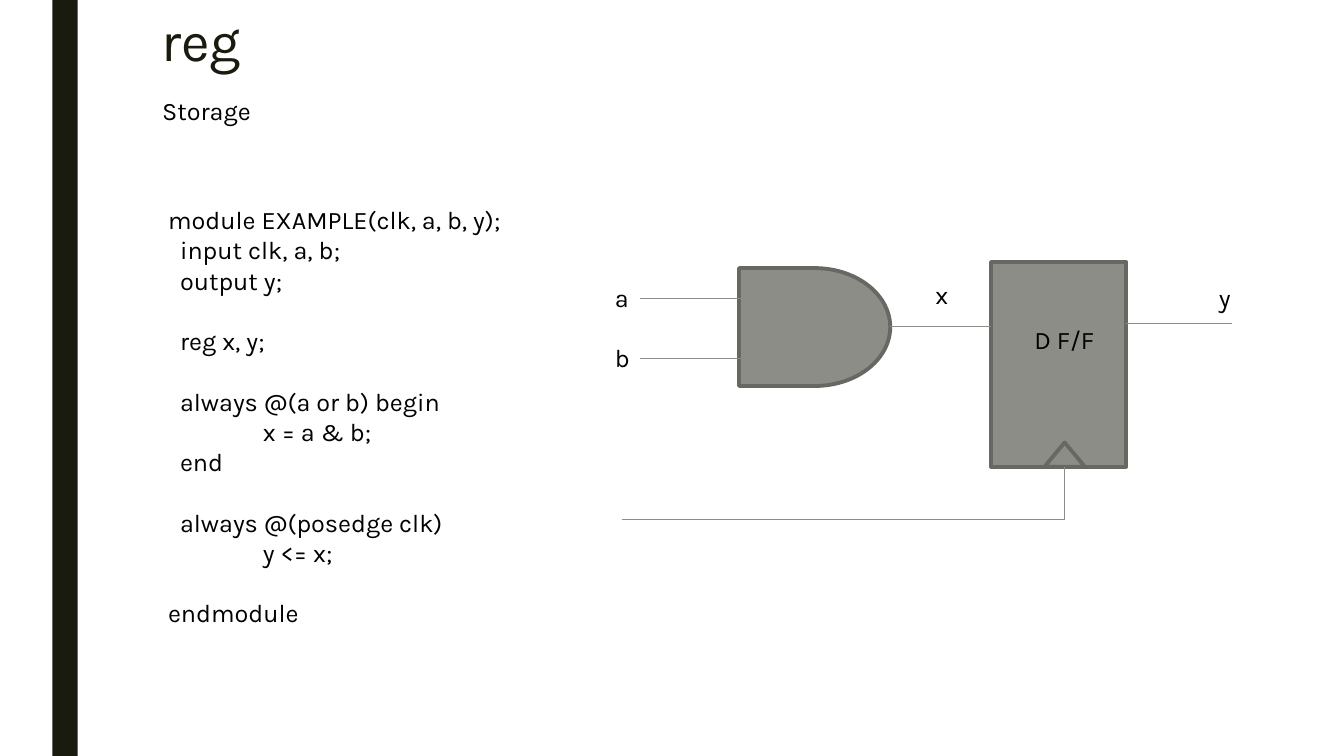
from pptx import Presentation
from pptx import util as u
from pptx.dml.color import RGBColor
from pptx.enum import shapes, text
from pptx.oxml.ns import qn
from lxml import etree

PX = 9144  # EMU in one px, 100 px to the inch
HUES = {"bar": "191B0E", "ink": "000000", "gate": "8C8D86", "edge": "686863"}
FORM = shapes.MSO_SHAPE
LINK = shapes.MSO_CONNECTOR
hue = {name: RGBColor.from_string(code) for name, code in HUES.items()}

deck = Presentation()
deck.slide_width, deck.slide_height = 1333 * PX, 750 * PX
slide = deck.slides.add_slide(deck.slide_layouts[5])


def place(box):
    return [n * PX for n in box]


def write(frame, lines, size=18, color="ink", **form):
    """Fill a text frame; an empty line becomes space before the next one."""
    form = {"vertical_anchor": text.MSO_ANCHOR.TOP, "word_wrap": False,
            "auto_size": text.MSO_AUTO_SIZE.SHAPE_TO_FIT_TEXT, **form}
    for key, val in form.items():
        setattr(frame, key, val)
    para, gap = frame.paragraphs[0], 0
    for num, line in enumerate(lines):
        if not line:
            gap = 21.6
            continue
        if num:
            para = frame.add_paragraph()
        para.alignment = text.PP_ALIGN.LEFT
        if gap:
            para.space_before = u.Pt(gap)
            gap = 0
        if line.startswith("\t"):
            tabs = etree.SubElement(para._p.get_or_add_pPr(), qn("a:tabLst"))
            etree.SubElement(tabs, qn("a:tab"), pos=str(100 * PX), algn="l")
        run = para.add_run()
        run.text = line
        run.font.name, run.font.size = "Karla", u.Pt(size)
        run.font.color.rgb = hue[color]


# Title
title = slide.shapes.title
title.left, title.top, title.width, title.height = place((150, 11, 1050, 64))
write(title.text_frame, ["reg"], 39.6, "bar", word_wrap=True,
      auto_size=text.MSO_AUTO_SIZE.NONE,
      vertical_anchor=text.MSO_ANCHOR.MIDDLE)
title.text_frame.paragraphs[0].line_spacing = 0.89

# Side bar, AND gate, flip-flop and clock mark
for kind, box, fill, edge in (
    (FORM.RECTANGLE, (52, 0, 25, 750), "bar", None),
    (FORM.FLOWCHART_DELAY, (733, 266, 150, 117), "gate", "edge"),
    (FORM.RECTANGLE, (983, 260, 134, 203), "gate", "edge"),
    (FORM.ISOSCELES_TRIANGLE, (1036, 439, 40, 24), "gate", "edge"),
):
    part = slide.shapes.add_shape(kind, *place(box))
    part.shadow.inherit = False
    part.fill.solid()
    part.fill.fore_color.rgb = hue[fill]
    if edge:
        part.line.color.rgb = hue[edge]
        part.line.width = u.Pt(2.75)
    else:
        part.line.fill.background()

# Wires a, b, x, y and the clock
for kind, ends in (
    (LINK.STRAIGHT, (635, 296, 735, 296)),
    (LINK.STRAIGHT, (635, 356, 735, 356)),
    (LINK.STRAIGHT, (883, 324, 983, 324)),
    (LINK.STRAIGHT, (1117, 321, 1222, 321)),
    (LINK.ELBOW, (617, 515, 1056, 463)),
):
    wire = slide.shapes.add_connector(kind, *place(ends))
    wire.line.color.rgb = hue["gate"]
    wire.line.width = u.Pt(0.5)
    props = wire._element.spPr
    etree.SubElement(props, qn("a:effectLst"))
    if kind == LINK.ELBOW:  # a single corner
        props.find(qn("a:prstGeom")).set("prst", "bentConnector2")

# Labels
for label, box in (
    ("Storage", (151, 90, 109, 40)),
    ("a", (600, 275, 34, 40)),
    ("b", (600, 335, 34, 40)),
    ("x", (918, 272, 31, 40)),
    ("y", (1199, 275, 31, 40)),
    ("D F/F", (1016, 317, 80, 40)),
):
    write(slide.shapes.add_textbox(*place(box)).text_frame, [label])

# Code
CODE = """\
 module EXAMPLE(clk, a, b, y);
   input clk, a, b;
   output y;

   reg x, y;

   always @(a or b) begin
\tx = a & b;
   end

   always @(posedge clk)
\ty <= x;

 endmodule"""
code = slide.shapes.add_textbox(*place((151, 198, 417, 434)))
write(code.text_frame, CODE.split("\n"), word_wrap=True)

deck.save("out.pptx")
